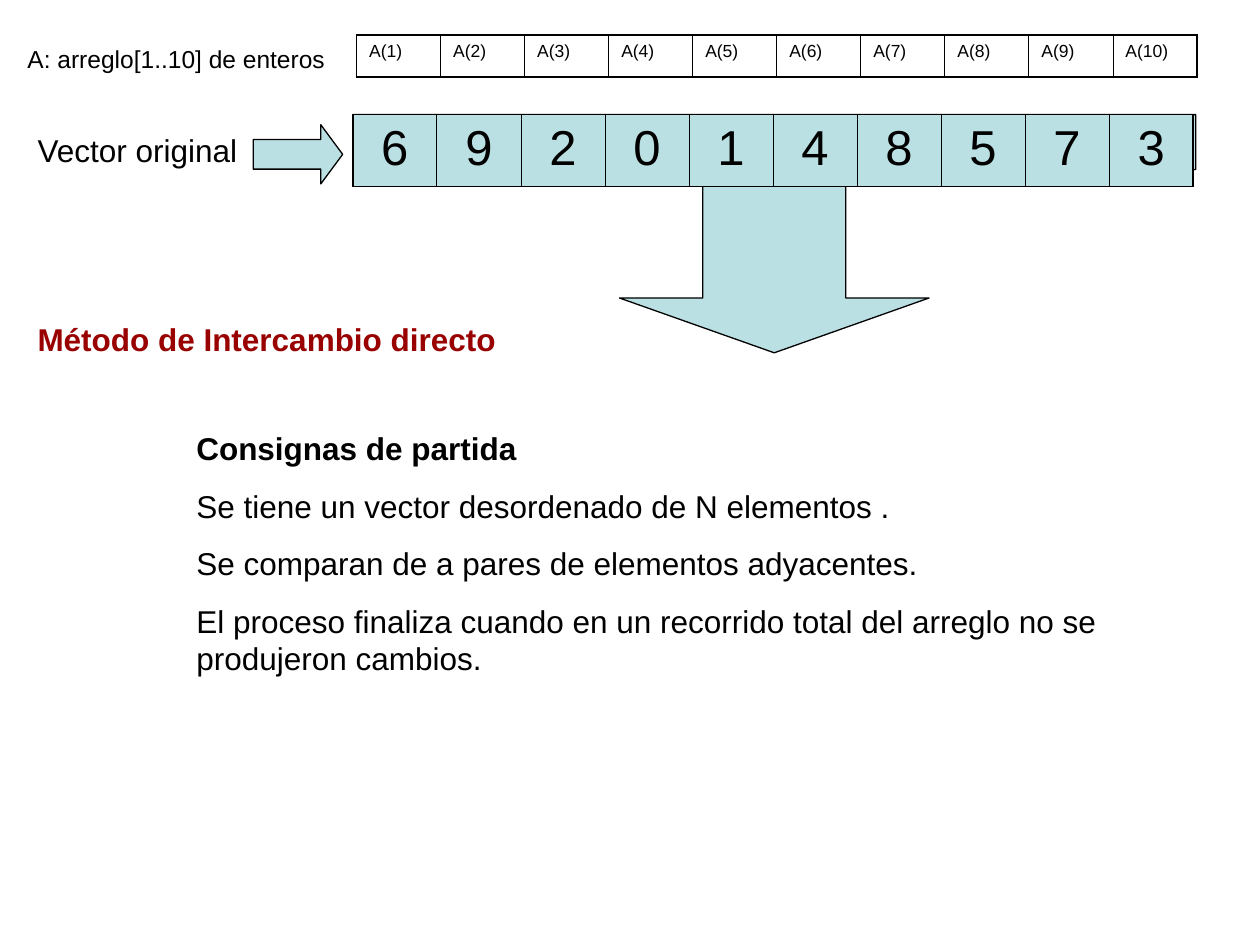
import pptx
import pptx.dml.color
import pptx.enum.shapes
import pptx.enum.text
import pptx.oxml.ns
import pptx.util
from lxml import etree

Inches = pptx.util.Inches
Pt = pptx.util.Pt
Shapes = pptx.enum.shapes.MSO_SHAPE
Align = pptx.enum.text.PP_ALIGN


def color(value):
    return pptx.dml.color.RGBColor.from_string(value)


def write(paragraph, text, size=18, bold=False, ink="000000", align=Align.LEFT, before=0):
    paragraph.alignment = align
    paragraph.space_before = Pt(before)
    run = paragraph.add_run()
    run.text = text
    run.font.name = "Arial"
    run.font.size = Pt(size)
    run.font.bold = bold
    run.font.color.rgb = color(ink)


def add_border(cell, side, width, ink):
    """Draw one side (L, R, T or B) of a table cell; call before filling it."""
    qn = pptx.oxml.ns.qn
    properties = cell._tc.get_or_add_tcPr()
    line = etree.SubElement(properties, qn(f"a:ln{side}"), w=str(Pt(width)))
    fill = etree.SubElement(line, qn("a:solidFill"))
    etree.SubElement(fill, qn("a:srgbClr"), val=ink)


class SlideBuilder:
    ink = "000000"
    accent = "990000"
    light = "BBE0E3"
    inner_border = 0.45
    outer_border = 1.08
    cell_width = 6.67 / 10

    def __init__(self, slide):
        self.slide = slide

    def shape(self, kind, left, top, width, height, adjustments):
        shape = self.slide.shapes.add_shape(
            kind, Inches(left), Inches(top), Inches(width), Inches(height))
        for index, value in enumerate(adjustments):
            shape.adjustments[index] = value
        shape.shadow.inherit = False
        shape.fill.solid()
        shape.fill.fore_color.rgb = color(self.light)
        shape.line.color.rgb = color(self.ink)
        shape.line.width = Pt(0.75)

    def text(self, left, top, width, height, lines, bold_first=False, **style):
        box = self.slide.shapes.add_textbox(
            Inches(left), Inches(top), Inches(width), Inches(height))
        frame = box.text_frame
        frame.word_wrap = True
        for index, line in enumerate(lines):
            paragraph = frame.add_paragraph() if index else frame.paragraphs[0]
            write(paragraph, line, bold=bold_first and index == 0,
                  before=11.2 if index else 0, **style)

    def array(self, left, top, height, values, fill=None, **style):
        """Add a one-row table with a heavier outer frame."""
        count = len(values)
        frame = self.slide.shapes.add_table(
            1, count, Inches(left), Inches(top),
            Inches(self.cell_width * count), Inches(height))
        table = frame.table
        table.first_row = False
        table.horz_banding = False
        for index, value in enumerate(values):
            cell = table.cell(0, index)
            outer_sides = {"T", "B"}
            if index == 0:
                outer_sides.add("L")
            if index == count - 1:
                outer_sides.add("R")
            for side in "LRTB":
                width = self.outer_border if side in outer_sides else self.inner_border
                add_border(cell, side, width, self.ink)
            if fill:
                cell.fill.solid()
                cell.fill.fore_color.rgb = color(fill)
            else:
                cell.fill.background()
            write(cell.text_frame.paragraphs[0], value, **style)


def main():
    presentation = pptx.Presentation()
    presentation.slide_width = Inches(10)
    presentation.slide_height = Inches(7.5)
    builder = SlideBuilder(presentation.slides.add_slide(presentation.slide_layouts[6]))

    builder.shape(Shapes.DOWN_ARROW_CALLOUT, 2.8, 0.91, 6.69, 1.89,
                  [0.6, 0.65, 0.23, 0.23])
    builder.text(0.2, 0.99, 1.81, 0.4, ["Vector original"])
    builder.shape(Shapes.RIGHT_ARROW, 2.01, 0.99, 0.71, 0.47, [0.5, 0.37])
    builder.array(2.8, 0.91, 0.57, list("6920148573"), fill=builder.light,
                  size=28, align=Align.CENTER)
    builder.array(2.83, 0.28, 0.33, [f"A({number})" for number in range(1, 11)], size=10)
    builder.text(0.12, 0.3, 2.6, 0.34, ["A: arreglo[1..10] de enteros"], size=14)
    builder.text(0.2, 2.49, 4.17, 0.4, ["Método de Intercambio directo"],
                 bold_first=True, ink=builder.accent)
    builder.text(1.46, 3.36, 8.19, 2.07, [
        "Consignas de partida",
        "Se tiene un vector desordenado de N elementos .",
        "Se comparan de a pares de elementos adyacentes.",
        "El proceso finaliza cuando en un recorrido total del arreglo "
        "no se produjeron cambios.",
    ], bold_first=True)

    presentation.save("out.pptx")


if __name__ == "__main__":
    main()
